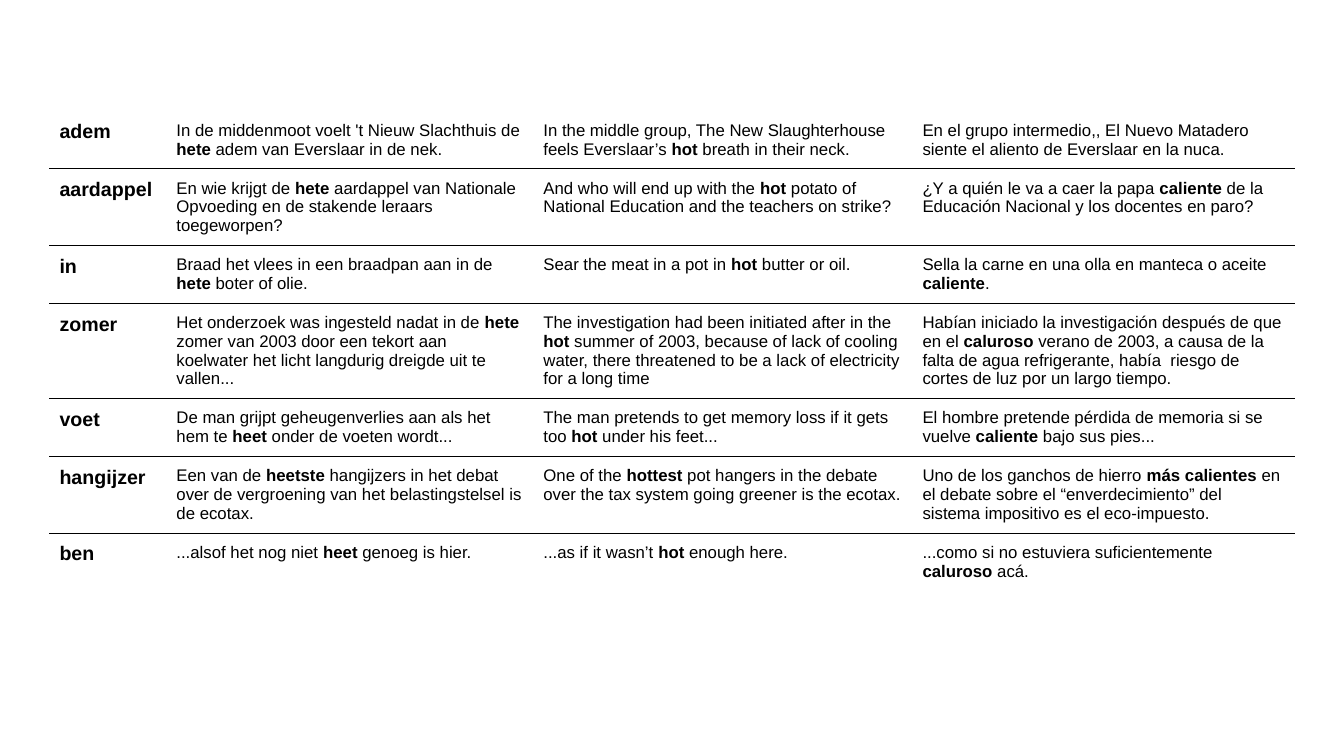
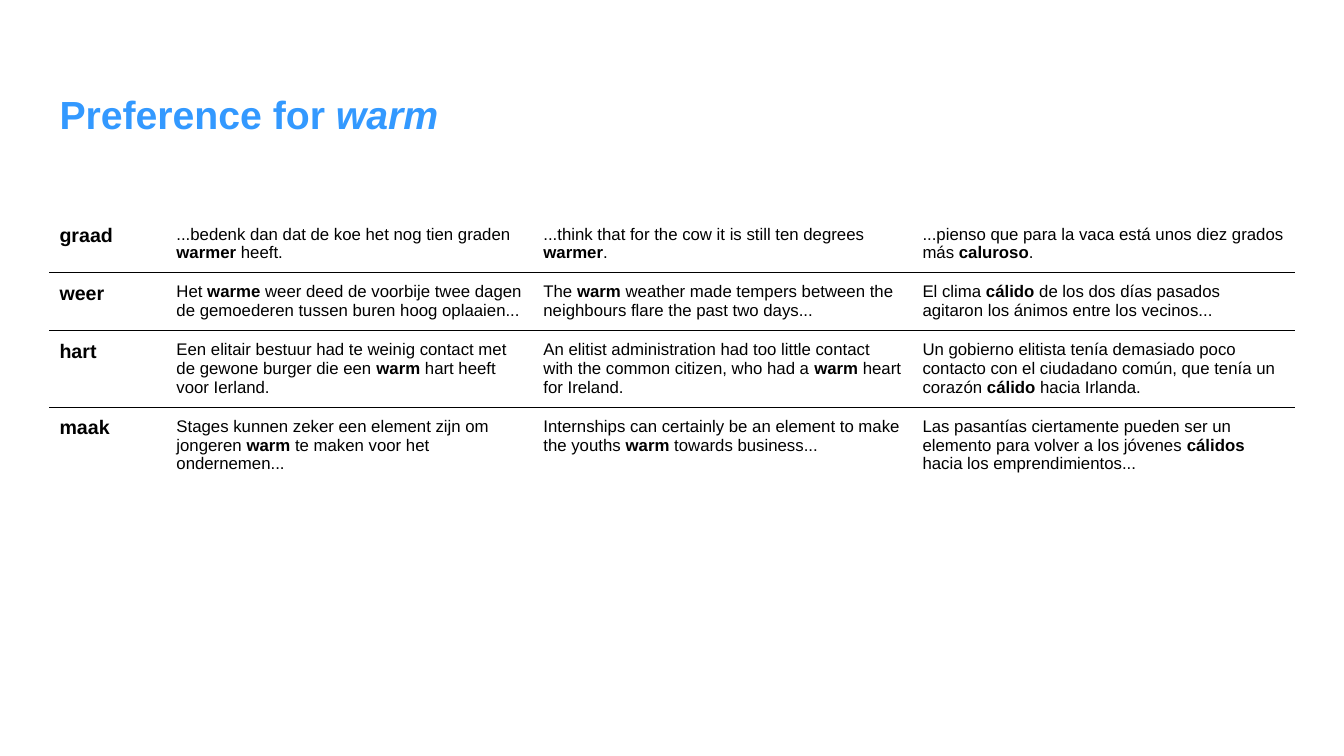
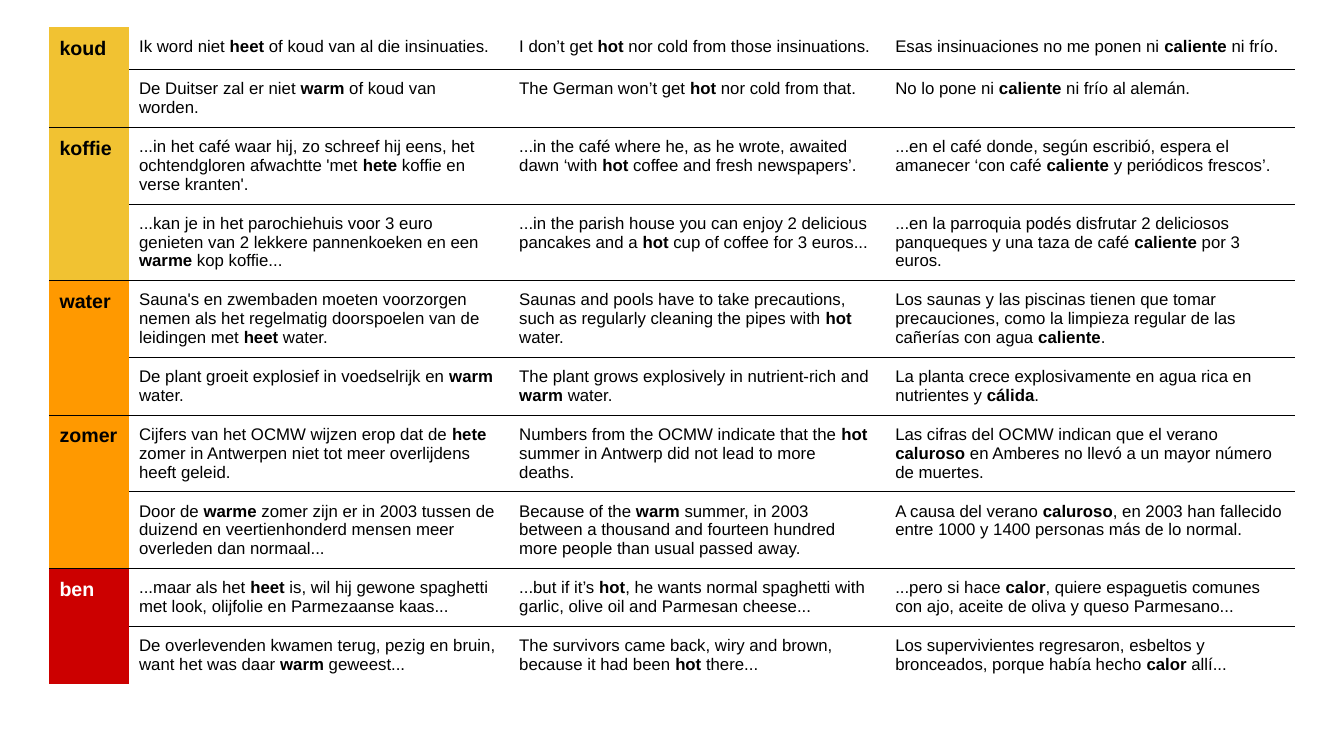
"""Three slides of tables with Dutch, English and Spanish uses of hot and warm."""
from lxml import etree
from pptx import Presentation
from pptx.dml.color import RGBColor
from pptx.enum.text import MSO_ANCHOR as Anchor, MSO_AUTO_SIZE as AutoSize, PP_ALIGN as Align
from pptx.oxml.ns import qn
from pptx.util import Emu, Pt

EMU_PER_PX = 9144
FONT = "Arial"
BLACK, WHITE, BLUE = "000000", "FFFFFF", "3399FF"
YELLOW, ORANGE, RED = "F1C232", "FF9900", "CC0000"
LEFT, ROW_HEIGHT, INSET = 49, 42, 10
LABEL_SIZE, TEXT_SIZE, TITLE_SIZE = 14, 12, 28
NO_STYLE = "{2D5ABB26-0587-4C30-8999-92F81FD0307C}"
TITLE_ONLY, BLANK = 5, 6
COLUMNS = (116, 364, 376, 379)
PAIR_COLUMNS = (79, 377, 373, 406)
PAIR_FILLS = {"koud": YELLOW, "koffie": YELLOW, "water": ORANGE, "zomer": ORANGE, "ben": RED}

HOT_ROWS = [
    ("adem",
     "In de middenmoot voelt 't Nieuw Slachthuis de *hete* adem van Everslaar in de nek.",
     "In the middle group, The New Slaughterhouse feels Everslaar’s *hot* breath in their neck.",
     "En el grupo intermedio,, El Nuevo Matadero siente el aliento de Everslaar en la nuca."),
    ("aardappel",
     "En wie krijgt de *hete* aardappel van Nationale Opvoeding en de stakende leraars toegeworpen?",
     "And who will end up with the *hot* potato of National Education and the teachers on strike?",
     "¿Y a quién le va a caer la papa *caliente* de la Educación Nacional y los docentes en paro?"),
    ("in",
     "Braad het vlees in een braadpan aan in de *hete* boter of olie.",
     "Sear the meat in a pot in *hot* butter or oil.",
     "Sella la carne en una olla en manteca o aceite *caliente*."),
    ("zomer",
     "Het onderzoek was ingesteld nadat in de *hete* zomer van 2003 door een tekort aan "
     "koelwater het licht langdurig dreigde uit te vallen...",
     "The investigation had been initiated after in the *hot* summer of 2003, because of lack "
     "of cooling water, there threatened to be a lack of electricity for a long time",
     "Habían iniciado la investigación después de que en el *caluroso* verano de 2003, a causa "
     "de la falta de agua refrigerante, había  riesgo de cortes de luz por un largo tiempo."),
    ("voet",
     "De man grijpt geheugenverlies aan als het hem te *heet* onder de voeten wordt...",
     "The man pretends to get memory loss if it gets too *hot* under his feet...",
     "El hombre pretende pérdida de memoria si se vuelve *caliente* bajo sus pies..."),
    ("hangijzer",
     "Een van de *heetste* hangijzers in het debat over de vergroening van het "
     "belastingstelsel is de ecotax.",
     "One of the *hottest* pot hangers in the debate over the tax system going greener is the ecotax.",
     "Uno de los ganchos de hierro *más calientes* en el debate sobre el “enverdecimiento” del "
     "sistema impositivo es el eco-impuesto."),
    ("ben",
     "...alsof het nog niet *heet* genoeg is hier.",
     "...as if it wasn’t *hot* enough here.",
     "...como si no estuviera suficientemente *caluroso* acá."),
]

WARM_ROWS = [
    ("graad",
     "...bedenk dan dat de koe het nog tien graden *warmer* heeft.",
     "...think that for the cow it is still ten degrees *warmer*.",
     "...pienso que para la vaca está unos diez grados más *caluroso*."),
    ("weer",
     "Het *warme* weer deed de voorbije twee dagen de gemoederen tussen buren hoog oplaaien...",
     "The *warm* weather made tempers between the neighbours flare the past two days...",
     "El clima *cálido* de los dos días pasados agitaron los ánimos entre los vecinos..."),
    ("hart",
     "Een elitair bestuur had te weinig contact met de gewone burger die een *warm* hart heeft "
     "voor Ierland.",
     "An elitist administration had too little contact with the common citizen, who had a "
     "*warm* heart for Ireland.",
     "Un gobierno elitista tenía demasiado poco contacto con el ciudadano común, que tenía un "
     "corazón *cálido* hacia Irlanda."),
    ("maak",
     "Stages kunnen zeker een element zijn om jongeren *warm* te maken voor het ondernemen...",
     "Internships can certainly be an element to make the youths *warm* towards business...",
     "Las pasantías ciertamente pueden ser un elemento para volver a los jóvenes *cálidos* "
     "hacia los emprendimientos..."),
]

PAIR_ROWS = [
    ("koud",
     "Ik word niet *heet* of koud van al die insinuaties.",
     "I don’t get *hot* nor cold from those insinuations.",
     "Esas insinuaciones no me ponen ni *caliente* ni frío."),
    ("",
     "De Duitser zal er niet *warm* of koud van worden.",
     "The German won’t get *hot* nor cold from that.",
     "No lo pone ni *caliente* ni frío al alemán."),
    ("koffie",
     "...in het café waar hij, zo schreef hij eens, het ochtendgloren afwachtte 'met *hete* "
     "koffie en verse kranten'.",
     "...in the café where he, as he wrote, awaited dawn ‘with *hot* coffee and fresh newspapers’.",
     "...en el café donde, según escribió, espera el amanecer ‘con café *caliente* y "
     "periódicos frescos’."),
    ("",
     "...kan je in het parochiehuis voor 3 euro genieten van 2 lekkere pannenkoeken en een "
     "*warme* kop koffie...",
     "...in the parish house you can enjoy 2 delicious pancakes and a *hot* cup of coffee for 3 euros...",
     "...en la parroquia podés disfrutar 2 deliciosos panqueques y una taza de café *caliente* "
     "por 3 euros."),
    ("water",
     "Sauna's en zwembaden moeten voorzorgen nemen als het regelmatig doorspoelen van de "
     "leidingen met *heet* water.",
     "Saunas and pools have to take precautions, such as regularly cleaning the pipes with *hot* water.",
     "Los saunas y las piscinas tienen que tomar precauciones, como la limpieza regular de las "
     "cañerías con agua *caliente*."),
    ("",
     "De plant groeit explosief in voedselrijk en *warm* water.",
     "The plant grows explosively in nutrient-rich and *warm* water.",
     "La planta crece explosivamente en agua rica en nutrientes y *cálida*."),
    ("zomer",
     "Cijfers van het OCMW wijzen erop dat de *hete* zomer in Antwerpen niet tot meer "
     "overlijdens heeft geleid.",
     "Numbers from the OCMW indicate that the *hot* summer in Antwerp did not lead to more deaths.",
     "Las cifras del OCMW indican que el verano *caluroso* en Amberes no llevó a un mayor "
     "número de muertes."),
    ("",
     "Door de *warme* zomer zijn er in 2003 tussen de duizend en veertienhonderd mensen meer "
     "overleden dan normaal...",
     "Because of the *warm* summer, in 2003 between a thousand and fourteen hundred more "
     "people than usual passed away.",
     "A causa del verano *caluroso*, en 2003 han fallecido entre 1000 y 1400 personas más de lo normal."),
    ("ben",
     "...maar als het *heet* is, wil hij gewone spaghetti met look, olijfolie en Parmezaanse kaas...",
     "...but if it’s *hot*, he wants normal spaghetti with garlic, olive oil and Parmesan cheese...",
     "...pero si hace *calor*, quiere espaguetis comunes con ajo, aceite de oliva y queso Parmesano..."),
    ("",
     "De overlevenden kwamen terug, pezig en bruin, want het was daar *warm* geweest...",
     "The survivors came back, wiry and brown, because it had been *hot* there...",
     "Los supervivientes regresaron, esbeltos y bronceados, porque había hecho *calor* allí..."),
]


def px(length):
    """Turn whole pixels into EMU."""
    return Emu(length * EMU_PER_PX)


def color(value):
    """Turn a hex string into a colour."""
    return RGBColor.from_string(value)


def write(para, text, size, ink=BLACK, bold=False, emphasis="bold"):
    """Write text as runs, giving the parts between asterisks the emphasis."""
    para.alignment = Align.LEFT
    for index, part in enumerate(text.split("*")):
        if part:
            span = para.add_run()
            span.text = part
            span.font.name, span.font.size = FONT, Pt(size)
            span.font.color.rgb = color(ink)
            span.font.bold = bold
            if index % 2:
                setattr(span.font, emphasis, True)


def add_title(page, text):
    """Place and format the title of a page."""
    title = page.shapes.title
    title.left, title.top, title.width, title.height = px(LEFT), px(50), px(566), px(125)
    frame = title.text_frame
    frame.auto_size, frame.word_wrap = AutoSize.NONE, True
    frame.vertical_anchor = Anchor.MIDDLE
    write(frame.paragraphs[0], text, TITLE_SIZE, BLUE, bold=True, emphasis="italic")


def rule_cell(cell, above, below):
    """Draw thin lines above and below a cell where asked."""
    properties = cell._tc.get_or_add_tcPr()
    sides = [side for side, wanted in (("a:lnT", above), ("a:lnB", below)) if wanted]
    for position, side in enumerate(sides):
        line = etree.Element(qn(side), w=str(Pt(0.75)))
        fill = etree.SubElement(line, qn("a:solidFill"))
        etree.SubElement(fill, qn("a:srgbClr"), val=BLACK)
        properties.insert(position, line)


def fill_cell(cell, text, fill, **style):
    """Give a cell its margins, fill and text."""
    cell.margin_left = cell.margin_right = cell.margin_top = cell.margin_bottom = px(INSET)
    cell.vertical_anchor = Anchor.TOP
    if fill:
        cell.fill.solid()
        cell.fill.fore_color.rgb = color(fill)
    else:
        cell.fill.background()
    write(cell.text_frame.paragraphs[0], text, **style)


def add_examples(page, top, widths, rows, fills):
    """Add a table of examples; a row without a label joins the label above."""
    count = len(rows)
    frame = page.shapes.add_table(count, len(widths), px(LEFT), px(top),
                                  px(sum(widths)), px(ROW_HEIGHT * count))
    table = frame.table
    table.first_row = table.horz_banding = False
    table._tbl.tblPr.find(qn("a:tableStyleId")).text = NO_STYLE
    for column, width in zip(table.columns, widths):
        column.width = px(width)
    for index, (label, *_) in enumerate(rows):
        if not label:
            table.cell(index - 1, 0).merge(table.cell(index, 0))
    for index, (label, *sentences) in enumerate(rows):
        fill = fills.get(label)
        ink = WHITE if fill == RED else BLACK
        for position, text in enumerate((label, *sentences)):
            cell = table.cell(index, position)
            if cell.is_spanned:
                continue
            if position == 0:
                fill_cell(cell, text, fill, size=LABEL_SIZE, ink=ink, bold=True)
            else:
                fill_cell(cell, text, None, size=TEXT_SIZE)
            height = cell.span_height if cell.is_merge_origin else 1
            rule_cell(cell, index > 0, index + height < count)


def main():
    """Build the deck and save it."""
    deck = Presentation()
    deck.slide_width, deck.slide_height = px(1333), px(750)
    pages = (
        (None, 110, COLUMNS, HOT_ROWS, {}),
        ("Preference for *warm*", 213, COLUMNS, WARM_ROWS, {}),
        (None, 27, PAIR_COLUMNS, PAIR_ROWS, PAIR_FILLS),
    )
    for title, top, widths, rows, fills in pages:
        page = deck.slides.add_slide(deck.slide_layouts[TITLE_ONLY if title else BLANK])
        if title:
            add_title(page, title)
        add_examples(page, top, widths, rows, fills)
    deck.save("out.pptx")


if __name__ == "__main__":
    main()
